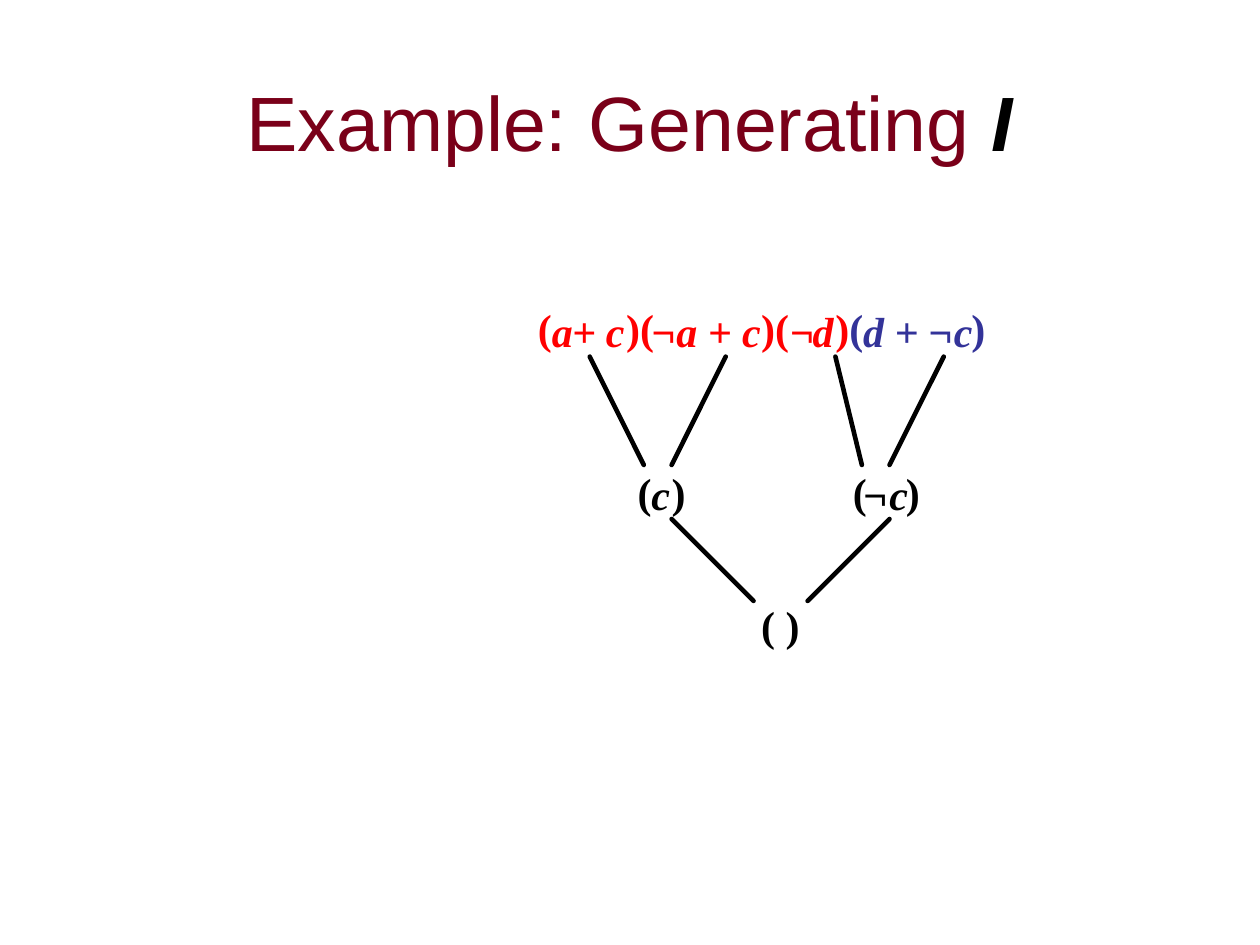
import pptx
import pptx.util
import pptx.dml.color
import pptx.enum.shapes
import pptx.enum.text
import lxml.etree

Pt = pptx.util.Pt
RED, BLUE, BLACK, MAROON = "FF0000", "333399", "000000", "7A0019"


def color(hex_string):
    return pptx.dml.color.RGBColor.from_string(hex_string)


def add_box(left, top, width, height, wrap):
    box = page.shapes.add_textbox(Pt(left), Pt(top), Pt(width), Pt(height))
    frame = box.text_frame
    frame.word_wrap = wrap
    frame.margin_left = frame.margin_right = 0
    frame.margin_top = frame.margin_bottom = 0
    return frame


deck = pptx.Presentation()
deck.slide_width, deck.slide_height = Pt(720), Pt(540)
page = deck.slides.add_slide(deck.slide_layouts[6])

# Title
frame = add_box(54, 24, 612, 90, True)
frame.vertical_anchor = pptx.enum.text.MSO_ANCHOR.MIDDLE
para = frame.paragraphs[0]
para.alignment = pptx.enum.text.PP_ALIGN.CENTER
para.font.name, para.font.size = "Arial", Pt(44)
for text, ink, strong in [("Example: Generating ", MAROON, False), ("I", BLACK, True)]:
    span = para.add_run()
    span.text = text
    span.font.color.rgb = color(ink)
    span.font.bold = span.font.italic = strong

# Clauses: row top, colour, and the left edge of each symbol
clauses = [
    (172.8, RED, [(307.4, "("), (315.4, "a"), (326.9, "+"), (346.3, "c"),
                  (357.8, ")("), (372.2, "¬"), (386.6, "a"), (404.6, "+"),
                  (424.1, "c"), (434.9, ")("), (451.4, "¬"), (464.4, "d"),
                  (477.4, ")")]),
    (172.8, BLUE, [(485.3, "("), (493.2, "d"), (511.2, "+"), (530.6, "¬c"),
                   (555.1, ")")]),
    (266.4, BLACK, [(364.3, "("), (372.2, "c"), (383.8, ")")]),
    (266.4, BLACK, [(487.4, "("), (493.2, "¬"), (508.3, "c"), (517.7, ")")]),
    (342.7, BLACK, [(434.9, "( )")]),
]
symbol_widths = {"(": 8, ")": 8, " ": 6, "a": 12, "d": 12, "c": 11, "+": 14, "¬": 14.5}
for top, ink, symbols in clauses:
    for left, text in symbols:
        italic = "(" not in text and ")" not in text
        width = sum(symbol_widths[symbol] for symbol in text)
        # Italic symbols sit slightly lower than the brackets
        frame = add_box(left, top + 1.6 * italic, width, 28.8, False)
        para = frame.paragraphs[0]
        para.text = text
        para.font.name, para.font.size = "Times New Roman", Pt(24)
        para.font.bold, para.font.italic = True, italic
        para.font.color.rgb = color(ink)

# Resolution edges from each clause down to its resolvent
upper, middle = (203.8, 265.7), (296.6, 343.4)
edges = [
    (337, 367.9, upper), (414.7, 383.8, upper),
    (477.4, 492.5, upper), (539.3, 508.3, upper),
    (383.8, 430.6, middle), (508.3, 461.5, middle),
]
for start, end, (top, bottom) in edges:
    edge = page.shapes.add_connector(
        pptx.enum.shapes.MSO_CONNECTOR.STRAIGHT, Pt(start), Pt(top), Pt(end), Pt(bottom))
    edge.line.color.rgb = color(BLACK)
    edge.line.width = Pt(2.64)
    edge.line._get_or_add_ln().set("cap", "rnd")
    properties = edge._element.spPr
    lxml.etree.SubElement(properties, pptx.oxml.ns.qn("a:effectLst"))

deck.save("out.pptx")
